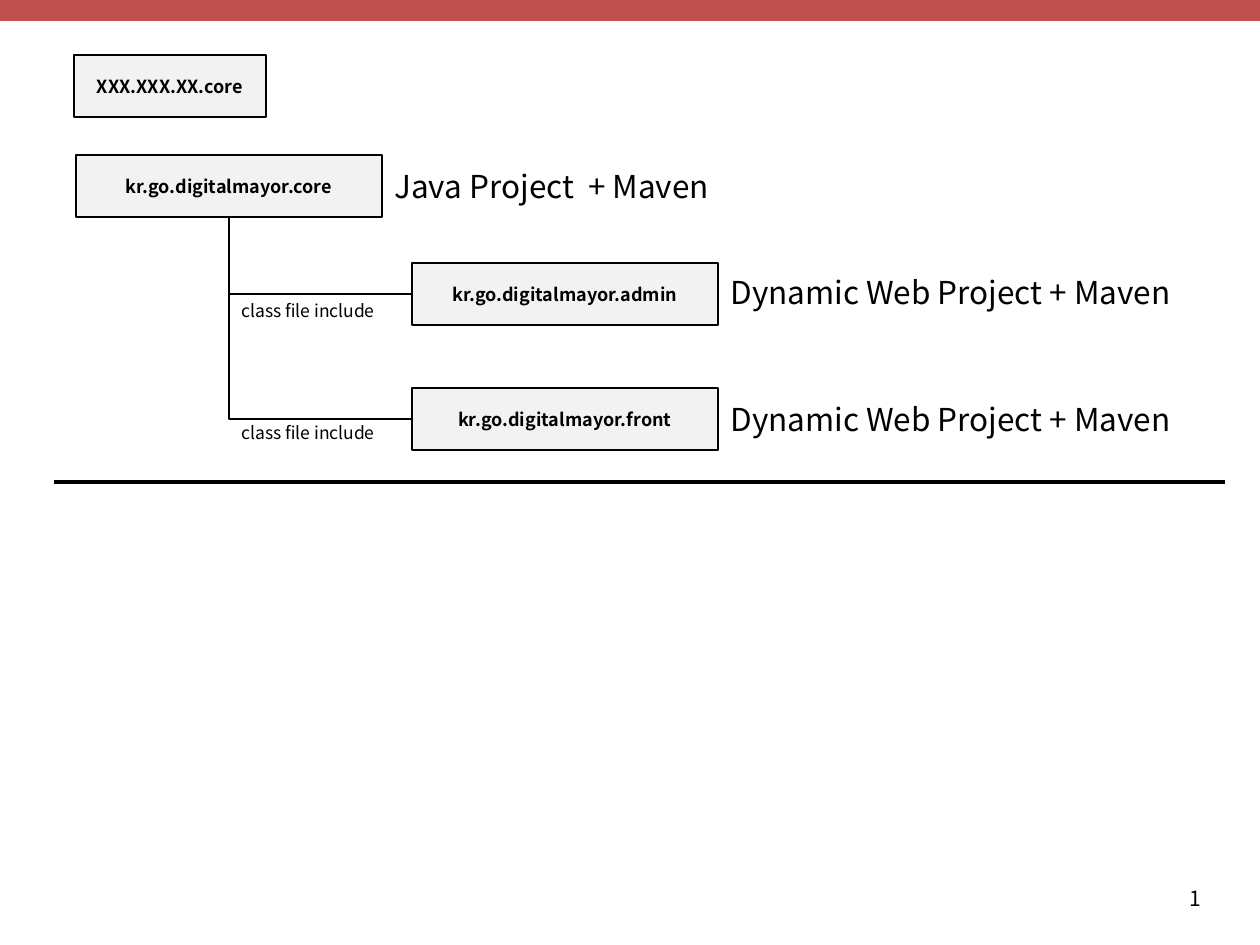
from dataclasses import dataclass

from lxml.etree import SubElement
from pptx import Presentation
from pptx.dml.color import RGBColor
from pptx.enum.shapes import MSO_CONNECTOR, MSO_SHAPE
from pptx.enum.text import MSO_ANCHOR, PP_ALIGN
from pptx.oxml.ns import qn
from pptx.shapes.autoshape import Shape
from pptx.shapes.connector import Connector
from pptx.slide import Slide
from pptx.util import Emu, Pt

PIXELS_PER_INCH = 126
BOTTOM_SIDE, LEFT_SIDE = 2, 1


@dataclass(frozen=True)
class Theme:
    font: str = "Noto Sans CJK KR"
    ink: RGBColor = RGBColor(0x00, 0x00, 0x00)
    box_fill: RGBColor = RGBColor(0xF2, 0xF2, 0xF2)
    accent: RGBColor = RGBColor(0xC0, 0x50, 0x4D)
    box_size: float = 10.3
    description_size: float = 18
    label_size: float = 10
    number_size: float = 12
    outline: float = 1.5
    divider: float = 2.25


@dataclass(frozen=True)
class Area:
    left: int
    top: int
    width: int
    height: int


@dataclass(frozen=True)
class Module:
    name: str
    area: Area


@dataclass(frozen=True)
class Caption:
    text: str
    area: Area
    size: float


THEME = Theme()
BOX_HEIGHT = 62
MODULE_WIDTH = 306
CHILD_LEFT = 412

SAMPLE = Module("XXX.XXX.XX.core", Area(74, 55, 192, BOX_HEIGHT))
CORE = Module("kr.go.digitalmayor.core", Area(76, 155, MODULE_WIDTH, BOX_HEIGHT))
CHILDREN = [
    Module("kr.go.digitalmayor.admin", Area(CHILD_LEFT, 263, MODULE_WIDTH, BOX_HEIGHT)),
    Module("kr.go.digitalmayor.front", Area(CHILD_LEFT, 388, MODULE_WIDTH, BOX_HEIGHT)),
]
CAPTIONS = [
    Caption("Java Project  + Maven", Area(382, 161, 348, 50), THEME.description_size),
    *(Caption("Dynamic Web Project + Maven", Area(718, top, 508, 50), THEME.description_size)
      for top in (267, 394)),
    *(Caption("class file include", Area(229, top, 183, 34), THEME.label_size)
      for top in (294, 416)),
]


def px(length: int) -> Emu:
    return Emu(round(length * 914400 / PIXELS_PER_INCH))


def bounds(area: Area) -> tuple[Emu, Emu, Emu, Emu]:
    return px(area.left), px(area.top), px(area.width), px(area.height)


def write_text(shape: Shape, text: str, *, size: float, bold: bool = False,
               align: PP_ALIGN = PP_ALIGN.LEFT,
               anchor: MSO_ANCHOR = MSO_ANCHOR.TOP) -> None:
    frame = shape.text_frame
    frame.word_wrap = True
    frame.vertical_anchor = anchor
    paragraph = frame.paragraphs[0]
    paragraph.alignment = align
    run = paragraph.add_run()
    run.text = text
    run.font.name = THEME.font
    run.font.size = Pt(size)
    run.font.bold = bold
    run.font.color.rgb = THEME.ink


def draw_rectangle(slide: Slide, area: Area, fill: RGBColor) -> Shape:
    shape = slide.shapes.add_shape(MSO_SHAPE.RECTANGLE, *bounds(area))
    shape.shadow.inherit = False
    shape.fill.solid()
    shape.fill.fore_color.rgb = fill
    shape.line.fill.background()
    return shape


def draw_module(slide: Slide, module: Module) -> Shape:
    shape = draw_rectangle(slide, module.area, THEME.box_fill)
    shape.line.color.rgb = THEME.ink
    shape.line.width = Pt(THEME.outline)
    write_text(shape, module.name, size=THEME.box_size, bold=True,
               align=PP_ALIGN.CENTER, anchor=MSO_ANCHOR.MIDDLE)
    return shape


def style_connector(connector: Connector, width: float) -> None:
    connector.line.color.rgb = THEME.ink
    connector.line.width = Pt(width)
    SubElement(connector._element.spPr, qn("a:effectLst"))


def draw_branch(slide: Slide, parent: Shape, child: Shape) -> None:
    connector = slide.shapes.add_connector(MSO_CONNECTOR.ELBOW, 0, 0, 0, 0)
    connector.begin_connect(parent, BOTTOM_SIDE)
    connector.end_connect(child, LEFT_SIDE)
    left, top = connector.begin_x, connector.begin_y
    across, down = connector.end_x - left, connector.end_y - top
    connector.left = Emu(left + (across - down) // 2)
    connector.top = Emu(top + (down - across) // 2)
    connector.width, connector.height = Emu(down), Emu(across)
    properties = connector._element.spPr
    properties.find(qn("a:prstGeom")).set("prst", "bentConnector2")
    transform = properties.find(qn("a:xfrm"))
    transform.set("rot", "16200000")
    transform.set("flipH", "1")
    style_connector(connector, THEME.outline)


def draw_caption(slide: Slide, caption: Caption) -> None:
    shape = slide.shapes.add_textbox(*bounds(caption.area))
    write_text(shape, caption.text, size=caption.size)


def main() -> None:
    presentation = Presentation()
    presentation.slide_width = px(1260)
    presentation.slide_height = px(945)
    slide = presentation.slides.add_slide(presentation.slide_layouts[6])

    draw_rectangle(slide, Area(0, 0, 1260, 21), THEME.accent)
    number = slide.shapes.add_textbox(*bounds(Area(1014, 862, 200, 72)))
    write_text(number, "1", size=THEME.number_size, align=PP_ALIGN.RIGHT,
               anchor=MSO_ANCHOR.MIDDLE)

    draw_module(slide, SAMPLE)
    divider = slide.shapes.add_connector(
        MSO_CONNECTOR.STRAIGHT, px(54), px(482), px(1225), px(482))
    style_connector(divider, THEME.divider)

    core = draw_module(slide, CORE)
    children = [draw_module(slide, module) for module in CHILDREN]
    for child in children:
        draw_branch(slide, core, child)
    for caption in CAPTIONS:
        draw_caption(slide, caption)

    presentation.save("out.pptx")


if __name__ == "__main__":
    main()
